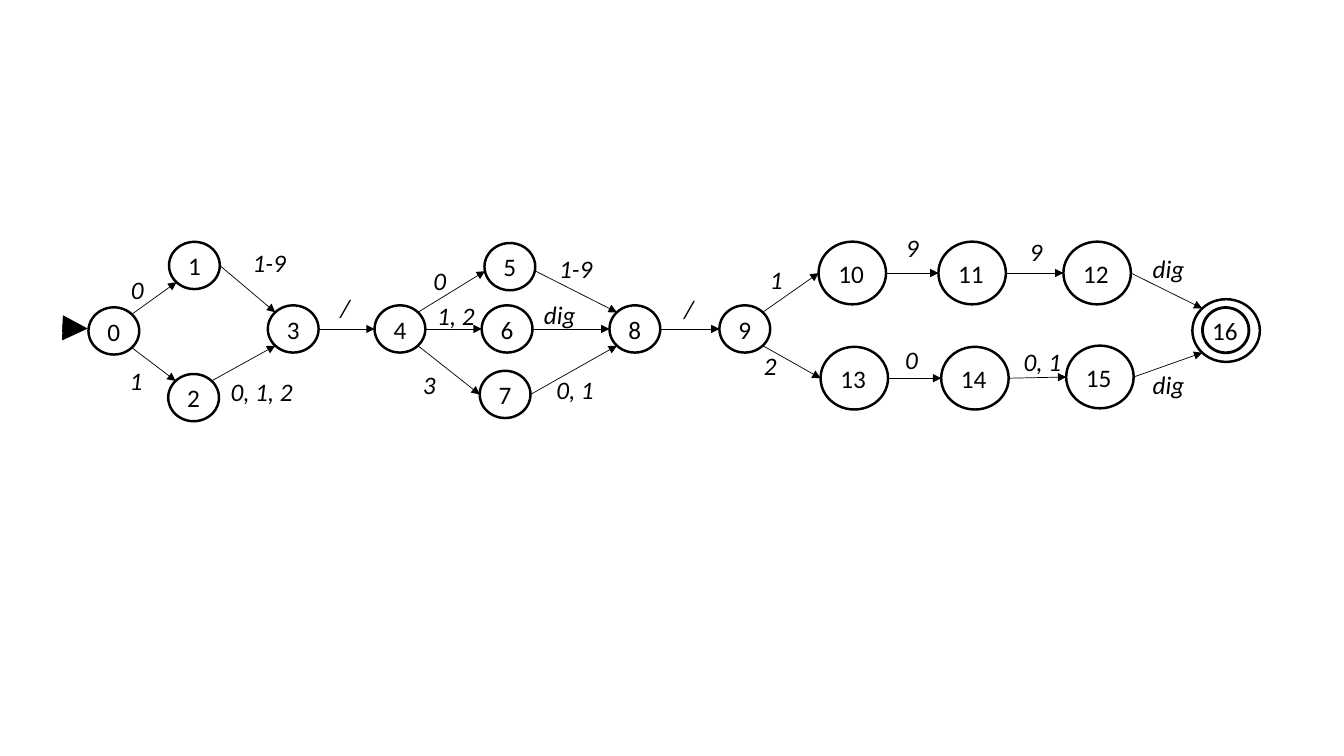
from math import cos, radians, sin

from lxml.etree import SubElement
from pptx import Presentation
from pptx.dml.color import RGBColor
from pptx.enum.shapes import MSO_CONNECTOR, MSO_SHAPE
from pptx.enum.text import MSO_ANCHOR, PP_ALIGN
from pptx.oxml.ns import qn
from pptx.util import Cm, Pt

BLACK = RGBColor(0, 0, 0)
FONT = "Calibri"

# Content: centre of each numbered state, in cm
STATES = [
    (2.87, 8.34), (4.90, 6.69), (4.88, 10.02), (7.39, 8.29), (10.08, 8.29),
    (12.85, 6.72), (12.78, 8.29), (12.73, 9.94), (16.00, 8.29), (18.77, 8.29),
    (21.48, 6.88), (24.50, 6.88), (27.65, 6.88),
    (21.53, 9.53), (24.57, 9.53), (27.72, 9.50), (30.90, 8.33),
]
FIRST_LARGE_STATE = 10
SMALL_SIZE = (1.28, 1.19)
LARGE_SIZE = (1.70, 1.58)
ACCEPTING_RING = (30.89, 8.32, 1.17, 1.14)
START_ARROW = ((1.57, 8.26), (2.21, 8.28))

# Source, leaving angle, target, arriving angle, label, label left, label top.
# Angles are in degrees, counter-clockwise from the right.
TRANSITIONS = [
    (0, 45, 1, 225, "0", 3.05, 6.78),
    (0, 315, 2, 135, "1", 3.02, 9.07),
    (1, 0, 3, 135, "1-9", 6.12, 6.12),
    (2, 45, 3, 225, "0, 1, 2", 5.56, 9.37),
    (3, 0, 4, 180, "/", 8.33, 7.24),
    (4, 45, 5, 191, "0", 10.67, 6.55),
    (4, 0, 6, 180, "1, 2", 10.77, 7.44),
    (4, 315, 7, 180, "3", 10.41, 9.17),
    (5, 350, 8, 135, "1-9", 13.84, 6.27),
    (6, 0, 8, 180, "dig", 13.46, 7.42),
    (7, 0, 8, 225, "0, 1", 13.77, 9.32),
    (8, 0, 9, 180, "/", 16.99, 7.26),
    (9, 45, 10, 180, "1", 19.15, 6.53),
    (9, 315, 13, 180, "2", 19.00, 8.71),
    (10, 0, 11, 180, "9", 22.58, 5.74),
    (11, 0, 12, 180, "9", 25.70, 5.82),
    (12, 0, 16, 135, "dig", 28.80, 6.27),
    (13, 0, 14, 180, "0", 22.56, 8.56),
    (14, 0, 15, 180, "0, 1", 25.55, 8.61),
    (15, 0, 16, 225, "dig", 28.80, 9.19),
]


def write_text(shape, text, align=PP_ALIGN.LEFT, anchor=MSO_ANCHOR.TOP, italic=False):
    frame = shape.text_frame
    frame.word_wrap = True
    frame.vertical_anchor = anchor
    paragraph = frame.paragraphs[0]
    paragraph.alignment = align
    run = paragraph.add_run()
    run.text = text
    run.font.name = FONT
    run.font.size = Pt(18)
    run.font.italic = italic
    run.font.color.rgb = BLACK


def state_size(number):
    return LARGE_SIZE if number >= FIRST_LARGE_STATE else SMALL_SIZE


def rim_point(number, angle):
    x, y = STATES[number]
    width, height = state_size(number)
    return (x + width / 2 * cos(radians(angle)),
            y - height / 2 * sin(radians(angle)))


def add_circle(slide, x, y, width, height, line_width=1.75):
    circle = slide.shapes.add_shape(
        MSO_SHAPE.OVAL, Cm(x - width / 2), Cm(y - height / 2), Cm(width), Cm(height))
    circle.shadow.inherit = False
    circle.fill.background()
    circle.line.color.rgb = BLACK
    circle.line.width = Pt(line_width)
    return circle


def add_arrow(slide, start, end, line_width=0.5):
    arrow = slide.shapes.add_connector(
        MSO_CONNECTOR.STRAIGHT, *(Cm(length) for length in start + end))
    arrow.line.color.rgb = BLACK
    arrow.line.width = Pt(line_width)
    SubElement(arrow.line._get_or_add_ln(), qn("a:tailEnd"), type="triangle")
    SubElement(arrow._element.spPr, qn("a:effectLst"))


presentation = Presentation()
presentation.slide_width = Cm(33.87)
presentation.slide_height = Cm(19.05)
slide = presentation.slides.add_slide(presentation.slide_layouts[6])

# States
for number, (x, y) in enumerate(STATES):
    circle = add_circle(slide, x, y, *state_size(number))
    align = PP_ALIGN.LEFT if number >= FIRST_LARGE_STATE else PP_ALIGN.CENTER
    write_text(circle, str(number), align=align, anchor=MSO_ANCHOR.MIDDLE)
add_circle(slide, *ACCEPTING_RING, line_width=2)

# Start marker
add_arrow(slide, *START_ARROW, line_width=6)

# Transitions with their labels
for source, leaving, target, arriving, label, left, top in TRANSITIONS:
    add_arrow(slide, rim_point(source, leaving), rim_point(target, arriving))
    width = 1.17 if len(label) == 1 else 2.11
    box = slide.shapes.add_textbox(Cm(left), Cm(top), Cm(width), Cm(1.02))
    write_text(box, label, italic=True)

presentation.save("out.pptx")
